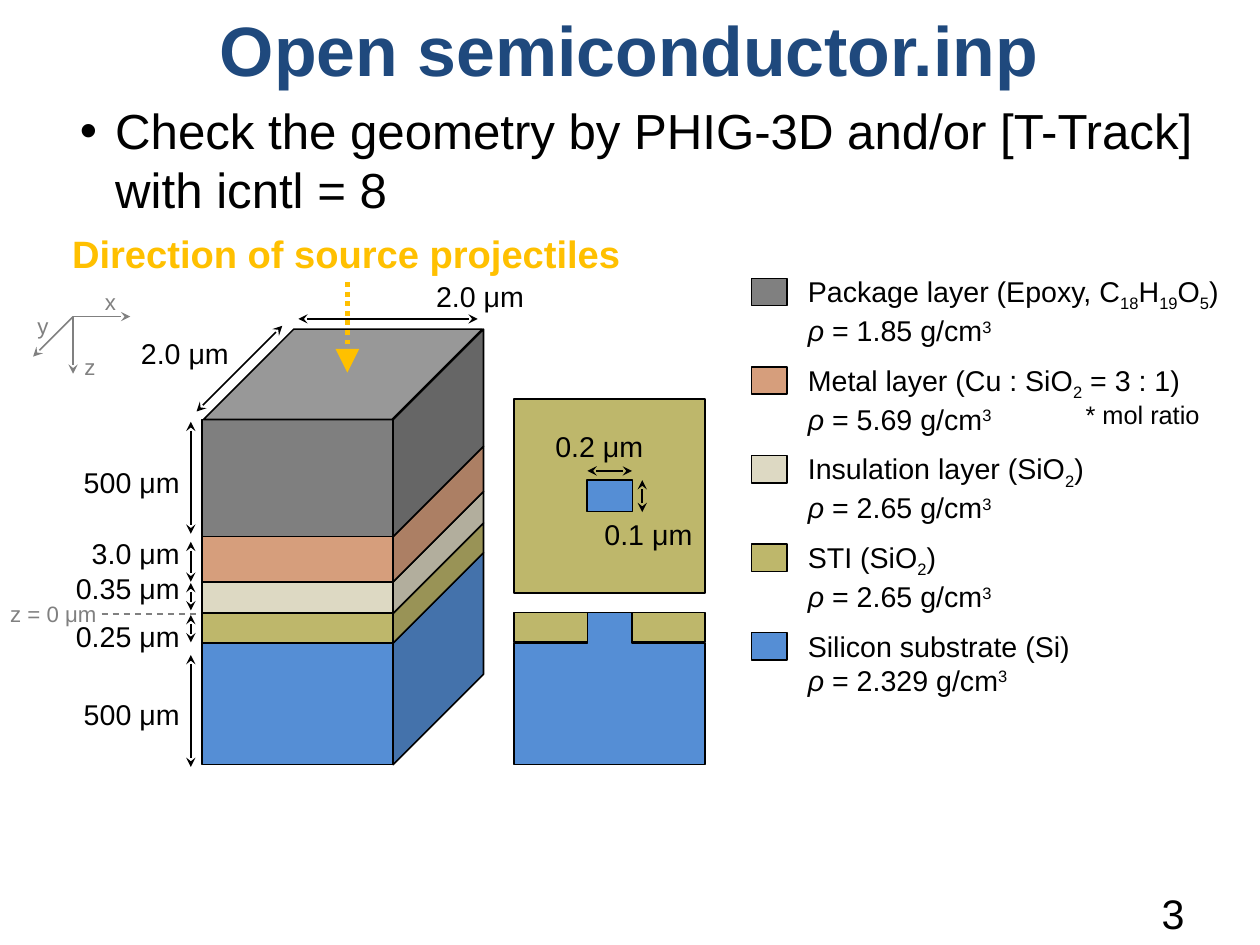
from lxml.etree import SubElement as Sub
from pptx import Presentation
from pptx.dml.color import RGBColor as RGB
from pptx.enum.dml import MSO_LINE as DASH
from pptx.enum.shapes import MSO_CONNECTOR as LINK, MSO_SHAPE as KIND
from pptx.enum.text import PP_ALIGN as ALIGN
from pptx.oxml.ns import qn
from pptx.util import Inches, Pt

HUE = {
    "ink": "000000", "title": "1F497D", "beam": "FFC000", "axis": "808080",
    "pack": "7F7F7F", "metal": "D69E7C", "insul": "DDD9C3", "sti": "BEB76B", "si": "558ED5",
    "pack side": "666666", "metal side": "AC7F64", "insul side": "B2AE9D",
    "sti side": "999356", "si side": "4472AB", "top": "989898", "pack key": "808080",
}
CELL = Inches(0.1)  # grid step: the slide is about 110 columns by 83 rows

deck = Presentation()
deck.slide_width, deck.slide_height = Pt(793.75), Pt(595.25)
slide = deck.slides.add_slide(deck.slide_layouts[6])
shapes = slide.shapes


def grid(*cells):
    return [int(n * CELL) for n in cells]


def write(rows, x, y, w, h, size=18, hue="ink", align=ALIGN.LEFT, bold=False, wrap=True, bullet=None):
    """Runs are parted by |; a leading _ is subscript, ^ superscript, ~ italic."""
    frame = shapes.add_textbox(*grid(x, y, w, h)).text_frame
    frame.word_wrap = wrap
    for i, row in enumerate(rows.split("\n")):
        para = frame.add_paragraph() if i else frame.paragraphs[0]
        para.alignment = align
        if bullet:
            props = para._p.get_or_add_pPr()
            props.set("marL", str(Inches(0.31)))
            props.set("indent", str(-Inches(0.31)))
            Sub(props, qn("a:buFont"), typeface="Arial")
            Sub(props, qn("a:buChar"), char=bullet)
        font = para.font
        font.name, font.size, font.bold = "Arial", Pt(size), bold
        font.color.rgb = RGB.from_string(HUE[hue])
        for part in row.split("|"):
            run = para.add_run()
            run.text = part.lstrip("_^~")
            if part[0] == "~":
                run.font.italic = True
            elif part[0] in "_^":
                shift = "-25000" if part[0] == "_" else "30000"
                run._r.get_or_add_rPr().set("baseline", shift)


# Heading, bullet and page number
write("Open semiconductor.inp", 17.9, 0.1, 74.4, 8.4, 44, "title", ALIGN.CENTER, True, False)
write("Check the geometry by PHIG-3D and/or [T-Track] with icntl = 8",
      6, 8.3, 105.2, 11.8, 31, bullet="•")
write("3", 98.3, 77.2, 8.7, 5.5, 26, align=ALIGN.CENTER)

# Layers: name, upper edge of the front face, legend text
LAYERS = [
    ("pack", 36.7, "Package layer (Epoxy, C|_18|H|_19|O|_5|)\n~ρ| = 1.85 g/cm|^3"),
    ("metal", 46.95, "Metal layer (Cu : SiO|_2| = 3 : 1)\n~ρ| = 5.69 g/cm|^3"),
    ("insul", 50.9, "Insulation layer (SiO|_2|)\n~ρ| = 2.65 g/cm|^3"),
    ("sti", 53.65, "STI (SiO|_2|)\n~ρ| = 2.65 g/cm|^3"),
    ("si", 56.25, "Silicon substrate (Si)\n~ρ| = 2.329 g/cm|^3"),
]
BASE, LEFT, WIDE, DEEP = 66.9, 17.7, 16.7, 7.9
edges = [top for _, top, _ in LAYERS] + [BASE]

# Outlined shapes: kind, place, colour, turn
sides, fronts, keys = [], [], []
for i, (name, top, note) in enumerate(LAYERS):
    high = edges[i + 1] - top
    span = high + DEEP
    mid = LEFT + WIDE + DEEP / 2
    sides.append((KIND.PARALLELOGRAM, mid - span / 2, top + high / 2 - DEEP, span, DEEP,
                  name + " side", 270))
    fronts.append((KIND.RECTANGLE, LEFT, top, WIDE, high, name, 0))
    keys.append((KIND.RECTANGLE, 65.75, 24.35 + 7.75 * i, 3.1, 2.4,
                 name if i else "pack key", 0))
    write(note, 69.7, 23.5 + 7.75 * i, 39.5, 7.1)
lid = (KIND.PARALLELOGRAM, LEFT + 0.1, 28.8, 24.4, DEEP, "top", 0)
cuts = [
    (KIND.RECTANGLE, 45, 34.9, WIDE, 17, "sti", 0),
    (KIND.RECTANGLE, 51.35, 42, 4, 2.75, "si", 0),
    (KIND.RECTANGLE, 45, 53.6, WIDE, 2.6, "sti", 0),
]
solid = []
for kind, x, y, w, h, hue, turn in sides[::-1] + fronts[::-1] + [lid] + keys + cuts:
    shape = shapes.add_shape(kind, *grid(x, y, w, h))
    if kind == KIND.PARALLELOGRAM:
        shape.adjustments[0] = 1
    if turn:
        shape.rotation = turn
        shape._element.spPr.find(qn("a:xfrm")).set("flipH", "1")
    solid.append((shape, hue))

# Silicon in the lower section
start, *rest = [grid(x, y) for x, y in [
    (51.4, 53.6), (55.3, 53.6), (55.3, 56.25), (61.7, 56.25),
    (61.7, BASE), (45, BASE), (45, 56.25), (51.4, 56.25)]]
path = shapes.build_freeform(*start, scale=1.0)
path.add_line_segments(rest, close=True)
solid.append((path.convert_to_shape(), "si"))

for shape, hue in solid:
    shape.shadow.inherit = False
    shape.fill.solid()
    shape.fill.fore_color.rgb = RGB.from_string(HUE[hue])
    shape.line.color.rgb = RGB.from_string(HUE["ink"])
    shape.line.width = Pt(1)

# Lines: ends, colour, width, dash, head, tail
both = ("ink", 1, None, "stealth", "stealth")
axis = ("axis", 1, None, None, "stealth")
heights = [(36.9, 46.7), (47.4, 50.9), (51, 53.4), (53.8, 56.2), (57.3, 67.1)]
lines = [(16.7, a, 16.7, b, *both) for a, b in heights] + [
    (24.7, 28.5, 17.2, 36, *both),
    (41.8, 27.9, 26.1, 27.9, *both),
    (56.2, 44.8, 56.2, 42, *both),
    (55.3, 41.2, 51.4, 41.2, *both),
    (30.4, 24.7, 30.4, 32.6, "beam", 3, DASH.ROUND_DOT, None, "triangle"),
    (6.4, 27.7, 11.4, 27.7, *axis),
    (6.4, 27.7, 2.9, 31.2, *axis),
    (6.4, 27.7, 6.4, 32.7, *axis),
    (8.9, 53.7, 17.5, 53.7, "axis", 1, DASH.DASH, None, None),
]
for x, y, x2, y2, hue, wide, dash, head, tail in lines:
    link = shapes.add_connector(LINK.STRAIGHT, *grid(x, y, x2, y2))
    link.line.color.rgb = RGB.from_string(HUE[hue])
    link.line.width = Pt(wide)
    if dash:
        link.line.dash_style = dash
    for tag, tip in (("a:headEnd", head), ("a:tailEnd", tail)):
        if tip:
            size = "lg" if tip == "triangle" else "med"
            Sub(link.line._get_or_add_ln(), qn(tag), type=tip, w=size, len=size)
    Sub(link._element.spPr, qn("a:effectLst"))

# Sizes of the block
for note, y in [("500 μm", 40.2), ("3.0 μm", 46.4), ("0.35 μm", 49.5),
                ("0.25 μm", 53.7), ("500 μm", 60.5)]:
    write(note, 3.6, y, 13.1, 4, align=ALIGN.RIGHT)
write("2.0 μm", 10.5, 28.9, 10.5, 4, align=ALIGN.RIGHT)
write("2.0 μm", 36.7, 23.9, 10.6, 4, align=ALIGN.CENTER)
write("0.2 μm", 47.6, 37, 11.5, 4)
write("0.1 μm", 51.9, 44.7, 11.5, 4)

# Source, axes and side note
write("Direction of source projectiles", 5.1, 19.7, 50.4, 5, 24, "beam", ALIGN.CENTER, True, False)
for note, x, y, w in [("x", 8.2, 24.7, 3), ("y", 2.3, 26.8, 3), ("z", 6.4, 30.4, 3),
                      ("z = 0 μm", -0.1, 52, 9.6)]:
    write(note, x, y, w, 3.4, 14, "axis", wrap=False)
write("* mol ratio", 94, 34.4, 12.1, 3.7, 16, wrap=False)

deck.save("out.pptx")
